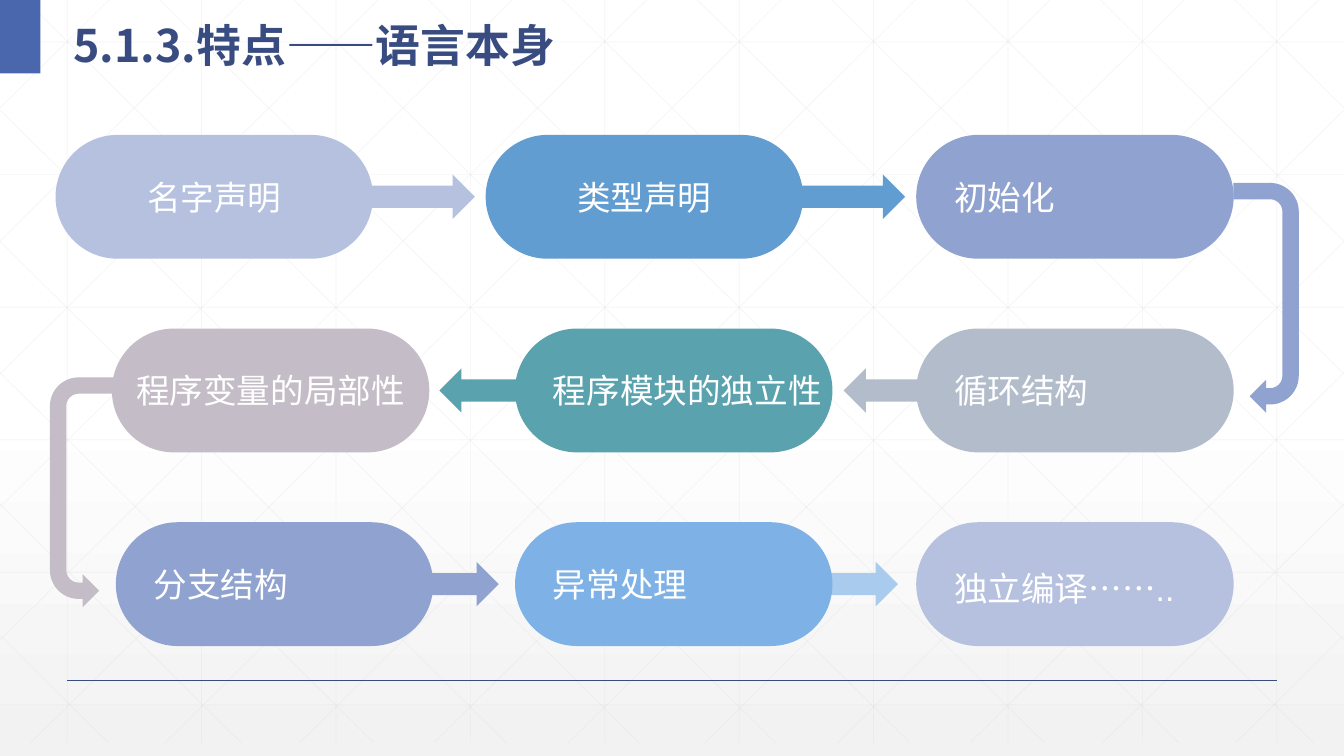
from lxml import etree
from pptx import Presentation
from pptx.dml.color import RGBColor
from pptx.enum.shapes import MSO_CONNECTOR, MSO_SHAPE
from pptx.enum.text import MSO_ANCHOR, PP_ALIGN
from pptx.oxml.ns import qn
from pptx.util import Cm, Pt

STRAIGHT = MSO_CONNECTOR.STRAIGHT
RECT, PILL = MSO_SHAPE.RECTANGLE, MSO_SHAPE.ROUNDED_RECTANGLE
ARROW, BEND = MSO_SHAPE.RIGHT_ARROW, MSO_SHAPE.U_TURN_ARROW
MIDDLE = MSO_ANCHOR.MIDDLE
LEFT, CENTER = PP_ALIGN.LEFT, PP_ALIGN.CENTER
LATIN, ASIAN = "Arial", "Noto Sans CJK SC"

HEX = {
    "white": "FFFFFF", "fog": "F2F2F2", "grid": "D9D9D9", "navy": "384C81",
    "royal": "4A66AC", "lilac": "B5C1DF", "blue": "629DD1", "iris": "90A2CF",
    "slate": "B2BCCB", "teal": "5AA2AE", "mauve": "C4BCC6", "sky": "7EB2E6",
    "pale": "A9CCEE",
}

TITLE = [("5.1.3.", ASIAN), ("特点——语言本身", LATIN)]

# row, left, colour, align, line spacing, words
STEPS = [
    (0, 1.4, "lilac", CENTER, 1, "名字声明"),
    (0, 12.24, "blue", CENTER, 1, "类型声明"),
    (0, 23.09, "iris", LEFT, 1, "初始化"),
    (1, 23.09, "slate", LEFT, 1, "循环结构"),
    (1, 12.98, "teal", LEFT, 1, "程序模块的独立性"),
    (1, 2.82, "mauve", CENTER, 1, "程序变量的局部性"),
    (2, 2.92, "iris", LEFT, 1, "分支结构"),
    (2, 12.98, "sky", LEFT, 1, "异常处理"),
    (2, 23.09, "lilac", LEFT, 1.2, "独立编译…….."),
]
# row, left, width, turn, colour
ARROWS = [
    (0, 8.74, 3.23, 0, "lilac"), (0, 20.02, 2.79, 0, "blue"),
    (1, 21.26, 1.98, 180, "slate"), (1, 11.07, 1.98, 180, "teal"),
    (2, 10.49, 2.08, 0, "iris"), (2, 20.55, 2.08, 0, "pale"),
]
# left, top, turn, flip, colour
BENDS = [(29.01, 6.68, 90, False, "iris"), (-0.81, 11.58, 270, True, "mauve")]

WIDE, HIGH = 33.87, 19.05
FLOOR, SLOPE = 18.72, 0.99
PITCH = WIDE / 10
TOP, STEP = 3.4, 4.88
PILL_W, PILL_H, ARROW_H = 8, 3.12, 1.12
BEND_W, BEND_H = 5.79, 1.65

deck = Presentation()
deck.slide_width, deck.slide_height = Cm(WIDE), Cm(HIGH)
slide = deck.slides.add_slide(deck.slide_layouts[6])
shapes = slide.shapes


def tint(name):
    return RGBColor.from_string(HEX[name])


def rule(x1, y1, x2, y2, name, weight, alpha=None):
    line = shapes.add_connector(STRAIGHT, Cm(x1), Cm(y1), Cm(x2), Cm(y2))
    line.line.color.rgb = tint(name)
    line.line.width = Pt(weight)
    props = line._element.spPr
    if alpha:
        clr = props.find(".//" + qn("a:srgbClr"))
        etree.SubElement(clr, qn("a:alpha")).set("val", str(alpha * 1000))
    etree.SubElement(props, qn("a:effectLst"))


def block(kind, x, y, w, h, name, turn=0):
    shape = shapes.add_shape(kind, Cm(x), Cm(y), Cm(w), Cm(h))
    shape.fill.solid()
    shape.fill.fore_color.rgb = tint(name)
    shape.line.fill.background()
    shape.shadow.inherit = False
    shape.rotation = turn
    return shape


def write(para, words, size, name, face=LATIN, bold=False):
    run = para.add_run()
    run.text = words
    run.font.size, run.font.bold, run.font.name = Pt(size), bold, face
    run.font.color.rgb = tint(name)
    etree.SubElement(run._r.rPr, qn("a:ea")).set("typeface", ASIAN)


fill = slide.background.fill
fill.gradient()
fill.gradient_angle = 270
for stop, spot, name in zip(fill.gradient_stops, (0.53, 1), ("white", "fog")):
    stop.position = spot
    stop.color.rgb = tint(name)

grid = []
for i in range(10):
    x = PITCH * (i + 0.5)
    grid.append((x, 0, x, FLOOR))
for i in range(6):
    y = 1.06 + 3.34 * i
    grid.append((0, y, WIDE, y))
slant = []
for i in range(10):
    x = 0.64 + PITCH * i
    drop = min(FLOOR, (WIDE - x) * SLOPE)
    slant.append((x, 0, x + drop / SLOPE, drop))
for i in range(5):
    y = 2.77 + 3.31 * i
    slant.append((0, y, (FLOOR - y) / SLOPE, FLOOR))
grid += slant + [(WIDE - x1, y1, WIDE - x2, y2) for x1, y1, x2, y2 in slant]
for ends in grid:
    rule(*ends, "grid", 0.5, 25)
rule(PITCH / 2, 17.15, WIDE - PITCH / 2, 17.15, "navy", 1)

block(RECT, 0, 0, 1.02, 1.85, "royal")
head = shapes.add_textbox(Cm(1.6), Cm(0), Cm(22.99), Cm(1.85)).text_frame
head.word_wrap = True
head.vertical_anchor = MIDDLE
head.paragraphs[0].line_spacing = 1.3
for words, face in TITLE:
    write(head.paragraphs[0], words, 32, "navy", face, True)

for row, x, w, turn, name in ARROWS:
    y = TOP + STEP * row + (PILL_H - ARROW_H) / 2
    block(ARROW, x, y, w, ARROW_H, name, turn)

for x, y, turn, flip, name in BENDS:
    bend = block(BEND, x, y, BEND_W, BEND_H, name, turn)
    if flip:
        bend._element.spPr.xfrm.set("flipH", "1")

for row, x, name, align, space, words in STEPS:
    pill = block(PILL, x, TOP + STEP * row, PILL_W, PILL_H, name)
    pill.adjustments[0] = 0.5
    frame = pill.text_frame
    frame.word_wrap = False
    frame.vertical_anchor = MIDDLE
    frame.margin_left = frame.margin_right = Cm(0.5)
    frame.margin_top = frame.margin_bottom = Cm(0.25)
    para = frame.paragraphs[0]
    para.alignment, para.line_spacing = align, space
    write(para, words, 24, "white")

deck.save("out.pptx")
